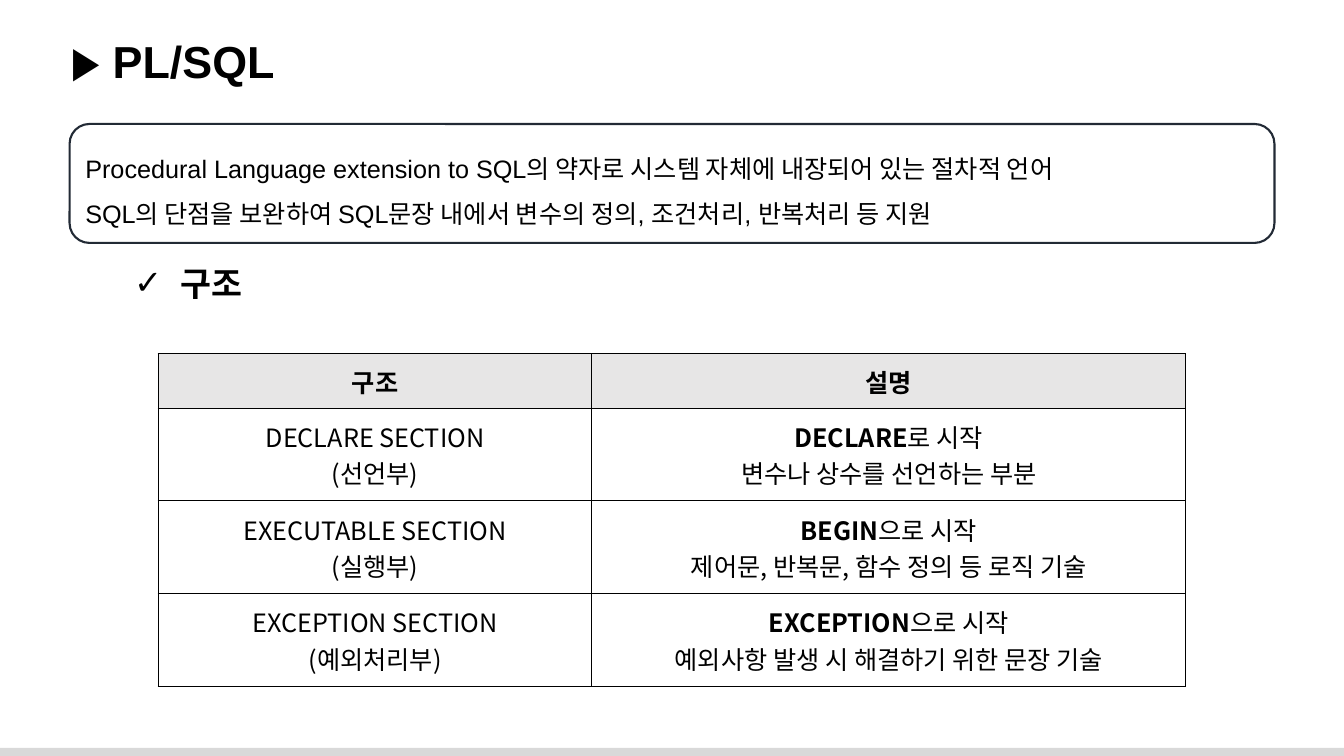
from lxml.etree import SubElement
from pptx import Presentation
from pptx.dml.color import RGBColor
from pptx.enum.shapes import MSO_SHAPE as Preset
from pptx.enum.text import MSO_ANCHOR as Anchor, MSO_AUTO_SIZE as AutoSize, PP_ALIGN as Align
from pptx.oxml import parse_xml
from pptx.oxml.ns import nsdecls, qn
from pptx.util import Inches, Pt

BLACK = RGBColor(0x00, 0x00, 0x00)
NAVY = RGBColor(0x22, 0x2A, 0x35)
HEADER_GRAY = RGBColor(0xE7, 0xE6, 0xE6)
BAR_GRAY = RGBColor(0xD9, 0xD9, 0xD9)
LATIN_FONT = "Arial"
KOREAN_FONT = "Noto Sans CJK KR"


def apply(target, values):
    for name, value in values.items():
        setattr(target, name, value)


class SlideBuilder:
    def __init__(self, slide):
        self.slide = slide
        self.font = {"name": LATIN_FONT, "size": Pt(18), "bold": False}

    def add_lines(self, frame, lines, paragraph_format, **font_changes):
        for index, line in enumerate(lines):
            paragraph = frame.paragraphs[0] if index == 0 else frame.add_paragraph()
            apply(paragraph, paragraph_format)
            for words, bold in line:
                run = paragraph.add_run()
                run.text = words
                apply(run.font, {**self.font, "bold": bold, **font_changes})
                run.font.color.rgb = BLACK
                SubElement(run.font._element, qn("a:ea"), typeface=KOREAN_FONT)

    def placeholder(self, holder, box, words, size, wrap):
        apply(holder, dict(zip(("left", "top", "width", "height"), map(Inches, box))))
        apply(holder.text_frame, {"word_wrap": wrap, "auto_size": AutoSize.NONE,
                                  "vertical_anchor": Anchor.TOP})
        left_aligned = {"alignment": Align.LEFT, "space_before": Pt(0)}
        self.add_lines(holder.text_frame, [[(words, True)]], left_aligned, size=size)

    def title(self, box, words):
        self.placeholder(self.slide.shapes.title, box, words, Pt(32), True)

    def check_item(self, box, words, indent):
        body = self.slide.placeholders[1]
        self.placeholder(body, box, words, Pt(24), False)
        properties = body.text_frame.paragraphs[0]._p.get_or_add_pPr()
        properties.set("marL", str(Inches(indent)))
        properties.set("indent", str(-Inches(indent)))
        SubElement(properties, qn("a:buFont"), typeface=LATIN_FONT)
        SubElement(properties, qn("a:buChar"), char="✓")

    def shape(self, preset, box, fill=None, outline=None):
        shape = self.slide.shapes.add_shape(preset, *map(Inches, box))
        shape.shadow.inherit = False
        if fill is None:
            shape.fill.background()
        else:
            shape.fill.solid()
            shape.fill.fore_color.rgb = fill
        if outline is None:
            shape.line.fill.background()
        else:
            shape.line.color.rgb = outline
            shape.line.width = Pt(1.5)
        return shape

    def summary(self, box, lines):
        frame = self.shape(Preset.ROUNDED_RECTANGLE, box, outline=NAVY).text_frame
        apply(frame, {"word_wrap": True, "vertical_anchor": Anchor.MIDDLE})
        self.add_lines(frame, [[(line, False)] for line in lines],
                       {"alignment": Align.LEFT, "line_spacing": 1.5})

    def border(self, cell):
        properties = cell._tc.get_or_add_tcPr()
        for index, side in enumerate(("lnL", "lnR", "lnT", "lnB")):
            properties.insert(index, parse_xml(
                f'<a:{side} {nsdecls("a")} w="{Pt(1)}"><a:solidFill>'
                f'<a:srgbClr val="{BLACK}"/></a:solidFill></a:{side}>'))

    def table(self, left, top, widths, heights, rows):
        table = self.slide.shapes.add_table(
            len(rows), len(widths), Inches(left), Inches(top),
            Inches(sum(widths)), Inches(sum(heights))).table
        for column, width in zip(table.columns, widths):
            column.width = Inches(width)
        for row_index, (row, height, contents) in enumerate(zip(table.rows, heights, rows)):
            row.height = Inches(height)
            for cell, lines in zip(row.cells, contents):
                cell.vertical_anchor = Anchor.MIDDLE
                if row_index == 0:
                    cell.fill.solid()
                    cell.fill.fore_color.rgb = HEADER_GRAY
                else:
                    cell.fill.background()
                self.border(cell)
                self.add_lines(cell.text_frame, lines, {"alignment": Align.CENTER},
                               name=KOREAN_FONT)


SECTIONS = [
    ("DECLARE", "DECLARE", "선언부", "로 시작", "변수나 상수를 선언하는 부분"),
    ("EXECUTABLE", "BEGIN", "실행부", "으로 시작", "제어문, 반복문, 함수 정의 등 로직 기술"),
    ("EXCEPTION", "EXCEPTION", "예외처리부", "으로 시작", "예외사항 발생 시 해결하기 위한 문장 기술"),
]

presentation = Presentation()
apply(presentation, {"slide_width": Inches(13.33), "slide_height": Inches(7.5)})
builder = SlideBuilder(presentation.slides.add_slide(presentation.slide_layouts[1]))

builder.shape(Preset.RECTANGLE, (0, 7.42, 13.33, 0.08), fill=BAR_GRAY)
builder.title((0.6, 0.28, 12.6, 0.64), "▶ PL/SQL")
builder.summary((0.69, 1.23, 11.95, 1.18), [
    "Procedural Language extension to SQL의 약자로 시스템 자체에 내장되어 있는 절차적 언어",
    "SQL의 단점을 보완하여 SQL문장 내에서 변수의 정의, 조건처리, 반복처리 등 지원",
])
builder.check_item((1.23, 2.56, 1.37, 0.5), "구조", 0.46)

structure_rows = [[[[(heading, True)]] for heading in ("구조", "설명")]]
for section, keyword, korean_name, start, description in SECTIONS:
    structure_rows.append([
        [[(f"{section} SECTION", False)], [(f"({korean_name})", False)]],
        [[(keyword, True), (start, False)], [(description, False)]],
    ])
builder.table(1.57, 3.51, (4.3, 5.89), [0.54] + [0.92] * len(SECTIONS), structure_rows)

presentation.save("out.pptx")
